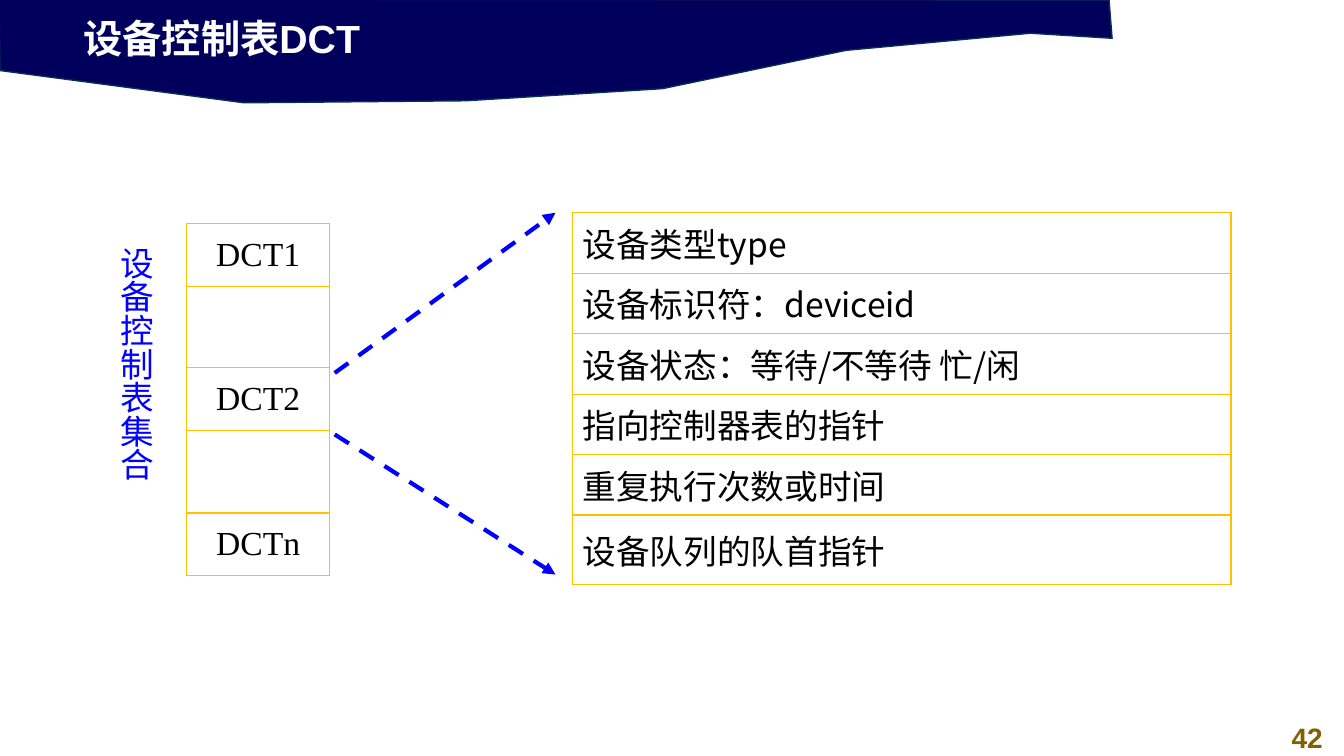
from pptx import Presentation
from pptx.dml.color import RGBColor as RGB
from pptx.enum.dml import MSO_LINE as Dash
from pptx.enum.shapes import MSO_CONNECTOR as Conn
from pptx.enum.text import MSO_ANCHOR as Anchor, PP_ALIGN as Align
from pptx.oxml import parse_xml
from pptx.oxml.ns import nsdecls, qn
from pptx.util import Pt
from lxml.etree import SubElement as Sub

PX = 9144
NAVY = RGB(0x00, 0x00, 0x5C)
EDGE = RGB(0x05, 0x30, 0x4F)
WHITE = RGB(0xFF, 0xFF, 0xFF)
BLACK = RGB(0x00, 0x00, 0x00)
BLUE = RGB(0x00, 0x00, 0xFF)
GOLD = RGB(0xFF, 0xC0, 0x00)
BROWN = RGB(0x80, 0x60, 0x00)
HAN = "Noto Sans CJK SC"

HEAD = {"name": "Arial", "size": Pt(28), "bold": True}
PAGE = {"name": "Arial", "size": Pt(20), "bold": True}
ENTRY = {"name": "Times New Roman", "size": Pt(24)}
FIELD = {"name": HAN, "size": Pt(24)}

BAND = [(-1, -1), (0, 70), (242, 102), (462, 100), (657, 88),
        (839, 50), (1022, 33), (1103, 38), (1100, 0)]
ENTRIES = ["DCT1", "", "DCT2", "", "DCTn"]
FIELDS = ["设备类型type", "设备标识符：deviceid", "设备状态：等待/不等待 忙/闲",
          "指向控制器表的指针", "重复执行次数或时间", "设备队列的队首指针"]


class Deck:
    """Holds the style and the current slide, and draws each kind of element."""

    def __init__(self, width, height):
        self.prs = Presentation()
        self.prs.slide_width, self.prs.slide_height = width * PX, height * PX
        self.slide = self.prs.slides.add_slide(self.prs.slide_layouts[5])
        self.shapes = self.slide.shapes

    def text(self, frame, words, style, color, align):
        para = frame.paragraphs[0]
        para.alignment = align
        run = para.add_run()
        run.text = words
        for key, value in style.items():
            setattr(run.font, key, value)
        run.font.color.rgb = color
        Sub(run.font._element, qn("a:ea")).set("typeface", HAN)

    def title(self, box, words):
        shape = self.shapes.title
        for key, value in zip(("left", "top", "width", "height"), box):
            setattr(shape, key, value * PX)
        shape.text_frame.vertical_anchor = Anchor.MIDDLE
        self.text(shape.text_frame, words, HEAD, WHITE, Align.LEFT)

    def label(self, box, words, style, color, align, flow="horz"):
        frame = self.shapes.add_textbox(*(n * PX for n in box)).text_frame
        frame.word_wrap = True
        frame.vertical_anchor = Anchor.MIDDLE
        frame._txBody.bodyPr.set("vert", flow)
        self.text(frame, words, style, color, align)

    def banner(self, points):
        build = self.shapes.build_freeform(*points[0], scale=PX)
        build.add_line_segments(points[1:], close=True)
        shape = build.convert_to_shape()
        shape.shadow.inherit = False
        shape.fill.solid()
        shape.fill.fore_color.rgb = NAVY
        shape.line.color.rgb = EDGE
        shape.line.width = Pt(1)
        self.shapes._spTree.insert(2, shape.element)

    def table(self, left, top, width, rows, texts, style, align):
        frame = self.shapes.add_table(len(rows), 1, left * PX, top * PX,
                                      width * PX, sum(rows) * PX)
        grid = frame.table
        grid.first_row = grid.horz_banding = False
        for row, high, words in zip(grid.rows, rows, texts):
            row.height = high * PX
            cell = row.cells[0]
            cell.vertical_anchor = Anchor.MIDDLE
            self.border(cell)
            cell.fill.background()
            if words:
                self.text(cell.text_frame, words, style, BLACK, align)

    def border(self, cell):
        props = cell._tc.get_or_add_tcPr()
        for side in "LRTB":
            props.append(parse_xml(
                f'<a:ln{side} w="{Pt(1)}" {nsdecls("a")}><a:solidFill>'
                f'<a:srgbClr val="{GOLD}"/></a:solidFill></a:ln{side}>'))

    def arrow(self, *ends):
        link = self.shapes.add_connector(Conn.STRAIGHT, *(n * PX for n in ends))
        link.line.color.rgb = BLUE
        link.line.width = Pt(3)
        link.line.dash_style = Dash.DASH
        props = link.element.spPr
        Sub(props.find(qn("a:ln")), qn("a:tailEnd")).set("type", "triangle")
        Sub(props, qn("a:effectLst"))


def main():
    deck = Deck(1333, 750)
    deck.banner(BAND)
    deck.title((73, 9, 768, 57), "设备控制表DCT")
    deck.label((1260, 709, 73, 44), "42", PAGE, BROWN, Align.CENTER)
    deck.table(185, 222, 142, [62, 81, 62, 82, 62], ENTRIES, ENTRY, Align.CENTER)
    deck.table(568, 211, 653, [60] * 5 + [69], FIELDS, FIELD, Align.LEFT)
    deck.arrow(332, 370, 551, 211)
    deck.arrow(332, 431, 551, 570)
    deck.label((104, 235, 61, 312), "设备控制表集合", FIELD, BLUE, Align.LEFT, "eaVert")
    deck.prs.save("out.pptx")


if __name__ == "__main__":
    main()
